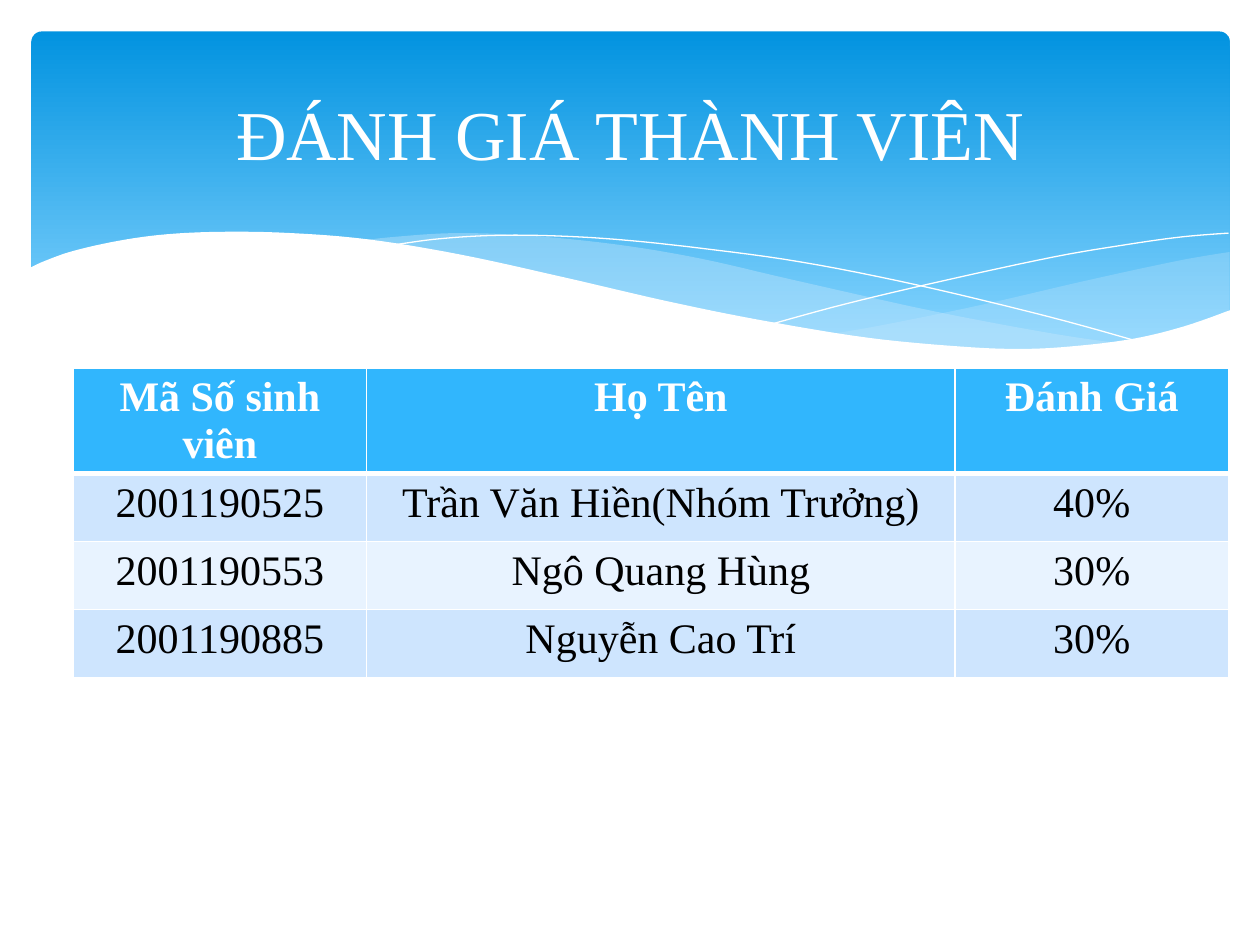
from lxml.etree import SubElement
from pptx import Presentation
from pptx.dml.color import RGBColor
from pptx.enum.shapes import MSO_SHAPE
from pptx.enum.text import MSO_ANCHOR, PP_ALIGN
from pptx.oxml.ns import qn
from pptx.util import Pt

PX = 9144  # EMU per px, 100 px to the inch
FONT = "Times New Roman"
WHITE = RGBColor(0xFF, 0xFF, 0xFF)
BLACK = RGBColor(0x00, 0x00, 0x00)
DEEP_BLUE = RGBColor(0x02, 0x93, 0xE0)
SKY_BLUE = RGBColor(0x83, 0xD3, 0xFE)
PALE_BLUE = RGBColor(0xC6, 0xE7, 0xFC)
HEADER_BLUE = RGBColor(0x31, 0xB6, 0xFD)
BANDS = (RGBColor(0xCE, 0xE5, 0xFE), RGBColor(0xE8, 0xF3, 0xFF))

TITLE = "ĐÁNH GIÁ THÀNH VIÊN"
ROWS = [
    ("Mã Số sinh viên", "Họ Tên", "Đánh Giá"),
    ("2001190525", "Trần Văn Hiền(Nhóm Trưởng)", "40%"),
    ("2001190553", "Ngô Quang Hùng", "30%"),
    ("2001190885", "Nguyễn Cao Trí", "30%"),
]
COLUMN_WIDTHS = (233, 467, 217)
ROW_HEIGHT = 54

# Each wave edge is a list of knots that a smooth curve runs through.
RIGHT_WAVE_TOP = [(976, 200), (935, 207), (861, 223), (779, 242), (706, 257), (661, 265)]
RIGHT_WAVE_BOTTOM = [(661, 265), (705, 272), (757, 276), (814, 278), (872, 274),
                     (921, 265), (949, 257), (976, 247)]
MIDDLE_WAVE_TOP = [(893, 273), (837, 265), (741, 247), (629, 222), (555, 205), (489, 194),
                   (420, 187), (361, 185), (313, 188), (286, 191)]
MIDDLE_WAVE_BOTTOM = [(286, 191), (342, 199), (404, 211), (449, 222), (530, 240),
                      (618, 258), (695, 270), (761, 277), (818, 278), (867, 276), (893, 273)]
FALLING_LINE = [(309, 195), (344, 190), (387, 187), (433, 187), (489, 190), (556, 197),
                (636, 208), (727, 226), (831, 251), (907, 272)]
RISING_LINE = [(613, 257), (672, 241), (748, 223), (836, 204), (895, 194), (938, 188), (975, 185)]
FRONT_WAVE_TOP = [(977, 246), (940, 259), (899, 269), (850, 275), (809, 277), (761, 275),
                  (688, 268), (603, 254), (529, 239), (447, 220), (365, 202), (292, 190),
                  (230, 185), (177, 184), (132, 186), (95, 191), (59, 199), (36, 207), (23, 213)]


def smooth(knots, steps=6):
    """Return points on the Catmull-Rom curve through the knots."""
    padded = [knots[0], *knots, knots[-1]]
    points = [knots[0]]
    for a, b, c, d in zip(padded, padded[1:], padded[2:], padded[3:]):
        for step in range(1, steps + 1):
            t = step / steps
            points.append(tuple(
                (2 * q + (r - p) * t + (2 * p - 5 * q + 4 * r - s) * t ** 2
                 + (3 * q - p - 3 * r + s) * t ** 3) / 2
                for p, q, r, s in zip(a, b, c, d)))
    return points


def add_outline(slide, points, close):
    scaled = [(round(x * PX), round(y * PX)) for x, y in points]
    builder = slide.shapes.build_freeform(*scaled[0], scale=1.0)
    builder.add_line_segments(scaled[1:], close=close)
    shape = builder.convert_to_shape()
    shape.shadow.inherit = False
    return shape


def add_wave(slide, points, color, opacity=100):
    wave = add_outline(slide, points, close=True)
    wave.fill.solid()
    wave.fill.fore_color.rgb = color
    wave.line.fill.background()
    if opacity < 100:
        tint = wave.element.spPr.find(qn("a:solidFill")).find(qn("a:srgbClr"))
        SubElement(tint, qn("a:alpha"), val=str(opacity * 1000))


def add_hairline(slide, knots):
    line = add_outline(slide, smooth(knots), close=False)
    line.fill.background()
    line.line.color.rgb = WHITE
    line.line.width = Pt(0)


def add_banner(slide):
    box = (length * PX for length in (25, 25, 951, 270))
    banner = slide.shapes.add_shape(MSO_SHAPE.ROUNDED_RECTANGLE, *box)
    banner.adjustments[0] = 0.03
    banner.shadow.inherit = False
    banner.line.fill.background()
    banner.fill.gradient()
    banner.fill.gradient_angle = 270
    stops = ((0, DEEP_BLUE), (0.9, SKY_BLUE))
    for stop, (position, color) in zip(banner.fill.gradient_stops, stops):
        stop.position = position
        stop.color.rgb = color


def write(frame, text, color, **font_format):
    """Put one centred, formatted line of text in a text frame."""
    para = frame.paragraphs[0]
    para.alignment = PP_ALIGN.CENTER
    span = para.add_run()
    span.text = text
    span.font.color.rgb = color
    for name, value in {"name": FONT, **font_format}.items():
        setattr(span.font, name, value)


def place_title(slide):
    title = slide.shapes.title
    title.element.getparent().append(title.element)  # in front of the waves
    for name, length in {"left": 50, "top": 37, "width": 900, "height": 137}.items():
        setattr(title, name, length * PX)
    title.text_frame.vertical_anchor = MSO_ANCHOR.MIDDLE
    write(title.text_frame, TITLE, WHITE, size=Pt(40))


def add_borders(cell, top, bottom):
    properties = cell._tc.get_or_add_tcPr()
    for side, width in {"L": 1, "R": 1, "T": top, "B": bottom}.items():
        border = SubElement(properties, qn(f"a:ln{side}"), w=str(Pt(width)))
        SubElement(SubElement(border, qn("a:solidFill")), qn("a:srgbClr"), val=str(WHITE))


def add_member_table(slide):
    box = (length * PX for length in (58, 292, sum(COLUMN_WIDTHS), 252))
    frame = slide.shapes.add_table(len(ROWS), len(COLUMN_WIDTHS), *box)
    table = frame.table
    for column, width in zip(table.columns, COLUMN_WIDTHS):
        column.width = width * PX
    for index, texts in enumerate(ROWS):
        header = index == 0
        table.rows[index].height = ROW_HEIGHT * PX
        for cell, text in zip(table.rows[index].cells, texts):
            add_borders(cell, top=3 if index == 1 else 1, bottom=3 if header else 1)
            cell.fill.solid()
            cell.fill.fore_color.rgb = HEADER_BLUE if header else BANDS[(index - 1) % 2]
            write(cell.text_frame, text, WHITE if header else BLACK, size=Pt(24), bold=header)
    frame.height = 252 * PX


def main():
    deck = Presentation()
    deck.slide_width, deck.slide_height = 1000 * PX, 750 * PX
    slide = deck.slides.add_slide(deck.slide_layouts[5])
    add_banner(slide)
    add_wave(slide, smooth(RIGHT_WAVE_TOP) + smooth(RIGHT_WAVE_BOTTOM), PALE_BLUE, 29)
    add_wave(slide, smooth(MIDDLE_WAVE_TOP) + smooth(MIDDLE_WAVE_BOTTOM), PALE_BLUE, 40)
    for knots in (FALLING_LINE, RISING_LINE):
        add_hairline(slide, knots)
    add_wave(slide, smooth(FRONT_WAVE_TOP) + [(23, 329), (977, 329)], WHITE)
    place_title(slide)
    add_member_table(slide)
    deck.save("out.pptx")


if __name__ == "__main__":
    main()
